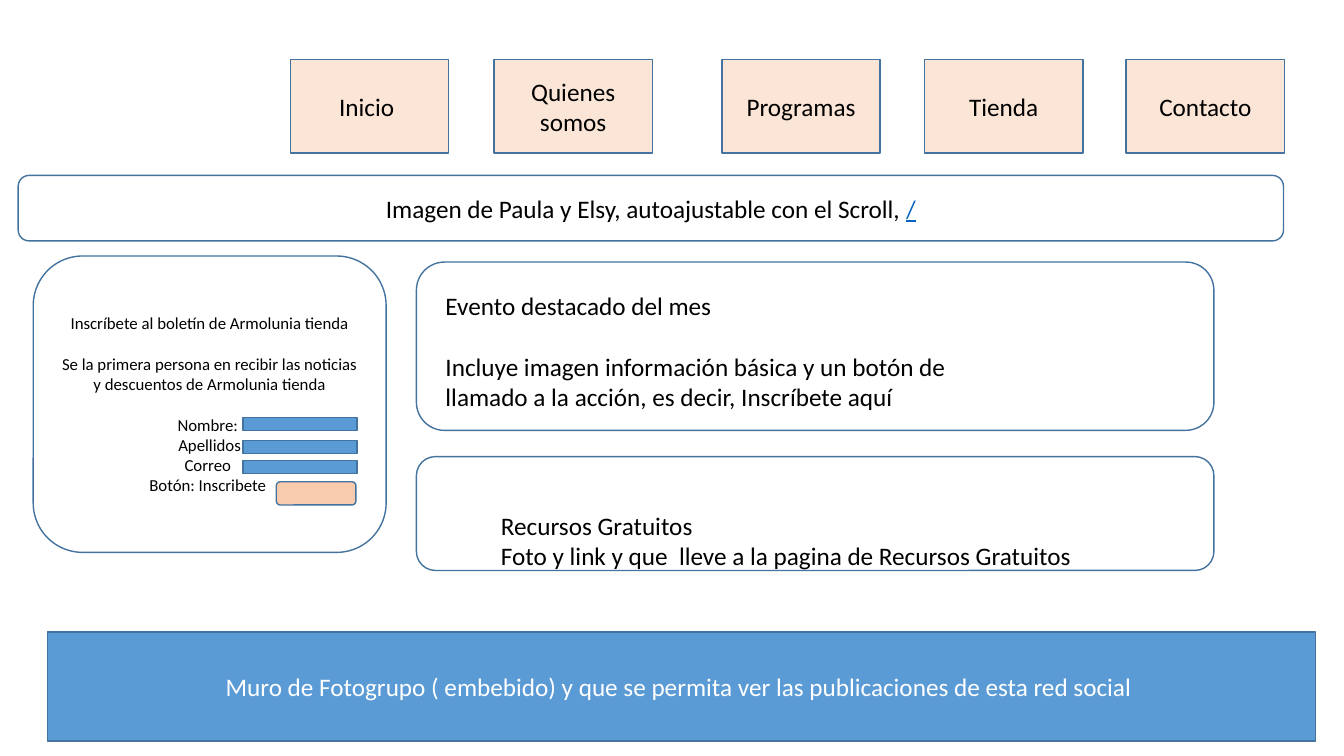
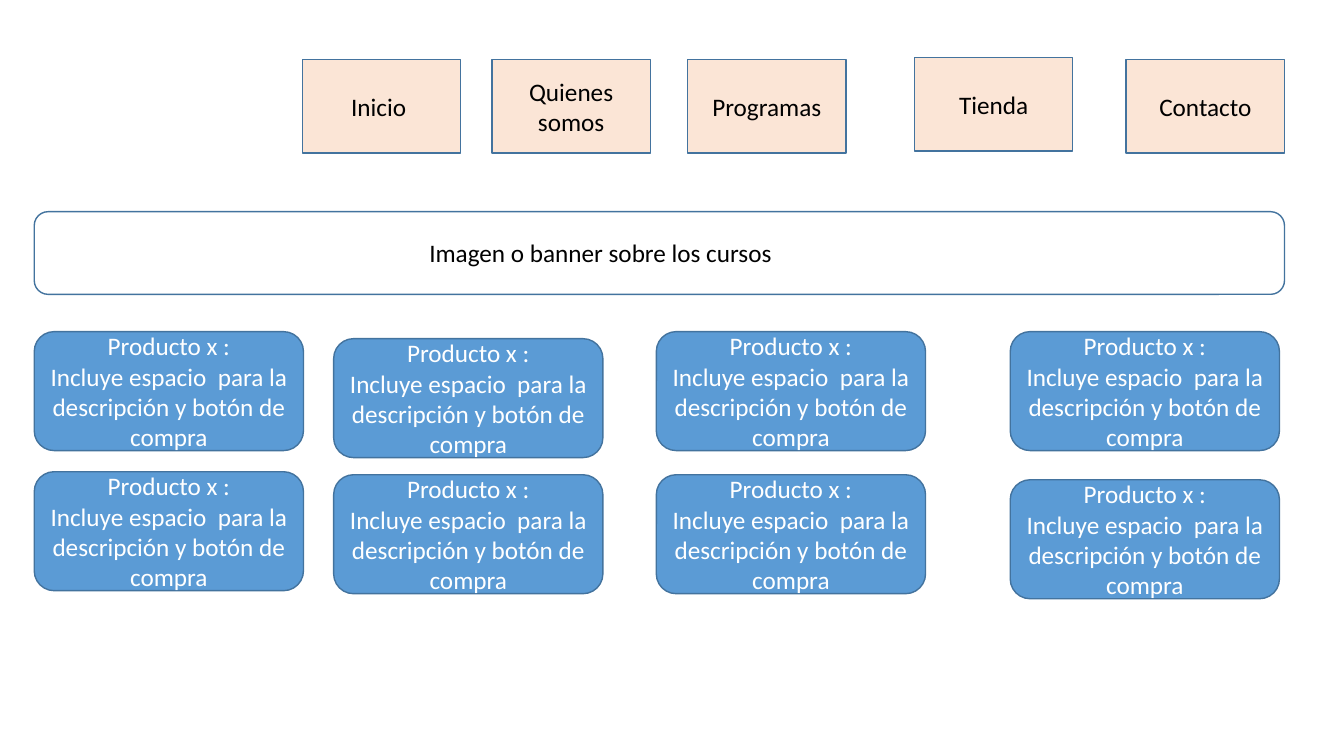
from pptx import Presentation
from pptx.dml.color import RGBColor
from pptx.enum.shapes import MSO_SHAPE
from pptx.enum.text import MSO_ANCHOR, PP_ALIGN
from pptx.util import Pt

RECT, ROUND = MSO_SHAPE.RECTANGLE, MSO_SHAPE.ROUNDED_RECTANGLE
CENTER, LEFT = PP_ALIGN.CENTER, PP_ALIGN.LEFT
MIDDLE, TOP = MSO_ANCHOR.MIDDLE, MSO_ANCHOR.TOP

BLACK = RGBColor(0x00, 0x00, 0x00)
WHITE = RGBColor(0xFF, 0xFF, 0xFF)
BLUE = RGBColor(0x5B, 0x9B, 0xD5)
OUTLINE = RGBColor(0x43, 0x73, 0x9E)
PEACH = RGBColor(0xFB, 0xE5, 0xD6)
SALMON = RGBColor(0xF8, 0xCB, 0xAD)
LINK = RGBColor(0x05, 0x63, 0xC1)

PX = 9144  # EMU per px, 100 px to the inch
FONT = "Calibri"
LINE_HEIGHT = 1.22

# Content: a paragraph is a string; GAP leaves one line open before the next
GAP = None
MENU = ["Inicio ", "Quienes somos", "Programas", "Tienda", "Contacto"]
MENU_SIZE = (157, 93)
HOME_MENU = [(288, 59), (490, 59), (716, 59), (917, 59), (1117, 59)]
SHOP_MENU = [(300, 59), (488, 59), (682, 59), (907, 57), (1117, 59)]

HERO = "Imagen de Paula y Elsy, autoajustable con el Scroll, "
HERO_LINK = "/"
NEWSLETTER = [
    "Inscríbete al boletín de Armolunia tienda", GAP,
    "Se la primera persona en recibir las noticias y descuentos de Armolunia tienda", GAP,
    "Nombre: ", "Apellidos", "Correo ", "Botón: Inscribete ",
]
FIELD_TOPS = [414, 437, 457]
EVENT = [
    "Evento destacado del mes", GAP,
    "Incluye imagen información básica y un botón de llamado a la acción, "
    "es decir, Inscríbete aquí",
]
RESOURCES = [
    "Recursos Gratuitos",
    "Foto y link y que  lleve a la pagina de Recursos Gratuitos",
]
WALL = ["Muro de Fotogrupo ( embebido) y que se permita ver "
        "las publicaciones de esta red social "]

BANNER = ["Imagen o banner sobre los cursos"]
PRODUCT = ["Producto x :", "Incluye espacio  para la descripción y botón de compra"]
PRODUCT_SIZE = (267, 118)
PRODUCT_LEFTS = [34, 331, 651, 1002]
PRODUCT_TOPS = [[329, 336, 329, 329], [468, 471, 471, 476]]


def emu(box):
    return [v * PX for v in box]


def style_run(run, color, size, **extra):
    formats = {"name": FONT, "size": Pt(size), **extra}
    for attribute, value in formats.items():
        setattr(run.font, attribute, value)
    run.font.color.rgb = color


def write(frame, paragraphs, color, size, align, anchor, wrap=True):
    frame.word_wrap = wrap
    frame.vertical_anchor = anchor
    paragraph, open_line = None, False
    for text in paragraphs:
        if text is GAP:
            open_line = True
            continue
        paragraph = frame.add_paragraph() if paragraph else frame.paragraphs[0]
        paragraph.alignment = align
        if open_line:
            paragraph.space_before = Pt(round(size * LINE_HEIGHT, 1))
            open_line = False
        run = paragraph.add_run()
        run.text = text
        style_run(run, color, size)
    return paragraph


def add_box(shapes, kind, box, fill=None, paragraphs=(), color=BLACK, size=18):
    shape = shapes.add_shape(kind, *emu(box))
    shape.shadow.inherit = False
    if fill is None:
        shape.fill.background()
    else:
        shape.fill.solid()
        shape.fill.fore_color.rgb = fill
    shape.line.color.rgb = OUTLINE
    shape.line.width = Pt(1)
    return write(shape.text_frame, paragraphs, color, size, CENTER, MIDDLE)


def add_label(shapes, box, paragraphs, wrap=True):
    label = shapes.add_textbox(*emu(box))
    write(label.text_frame, paragraphs, BLACK, 18, LEFT, TOP, wrap)


def add_page(prs, menu_places):
    shapes = prs.slides.add_slide(prs.slide_layouts[6]).shapes
    for entry, place in zip(MENU, menu_places):
        add_box(shapes, RECT, place + MENU_SIZE, PEACH, [entry])
    return shapes


def build_home(prs):
    shapes = add_page(prs, HOME_MENU)

    # Hero strip ending in a link mark
    hero = add_box(shapes, ROUND, (18, 174, 1255, 65), WHITE, [HERO])
    mark = hero.add_run()
    mark.text = HERO_LINK
    style_run(mark, LINK, 18, underline=True)

    # Newsletter form
    add_box(shapes, ROUND, (33, 254, 350, 294), WHITE, NEWSLETTER, size=12)
    form = shapes.add_group_shape().shapes
    for top in FIELD_TOPS:
        add_box(form, RECT, (241, top, 113, 13), BLUE)
    add_box(form, ROUND, (274, 478, 79, 23), SALMON)

    # Social wall
    add_box(shapes, RECT, (47, 627, 1258, 108), BLUE, WALL, WHITE)

    # Event and resources panels
    add_box(shapes, ROUND, (413, 260, 791, 167))
    add_box(shapes, ROUND, (413, 453, 791, 113))
    add_label(shapes, (432, 283, 519, 131), EVENT)
    add_label(shapes, (487, 501, 592, 71), RESOURCES, wrap=False)


def build_shop(prs):
    shapes = add_page(prs, SHOP_MENU)

    # Course banner
    add_box(shapes, ROUND, (34, 210, 1240, 82))
    add_label(shapes, (416, 231, 364, 40), BANNER, wrap=False)

    # Product cards
    for tops in PRODUCT_TOPS:
        for place in zip(PRODUCT_LEFTS, tops):
            add_box(shapes, ROUND, place + PRODUCT_SIZE, BLUE, PRODUCT, WHITE)


def main():
    prs = Presentation()
    prs.slide_width, prs.slide_height = emu((1333, 750))
    build_home(prs)
    build_shop(prs)
    prs.save("out.pptx")


if __name__ == "__main__":
    main()
